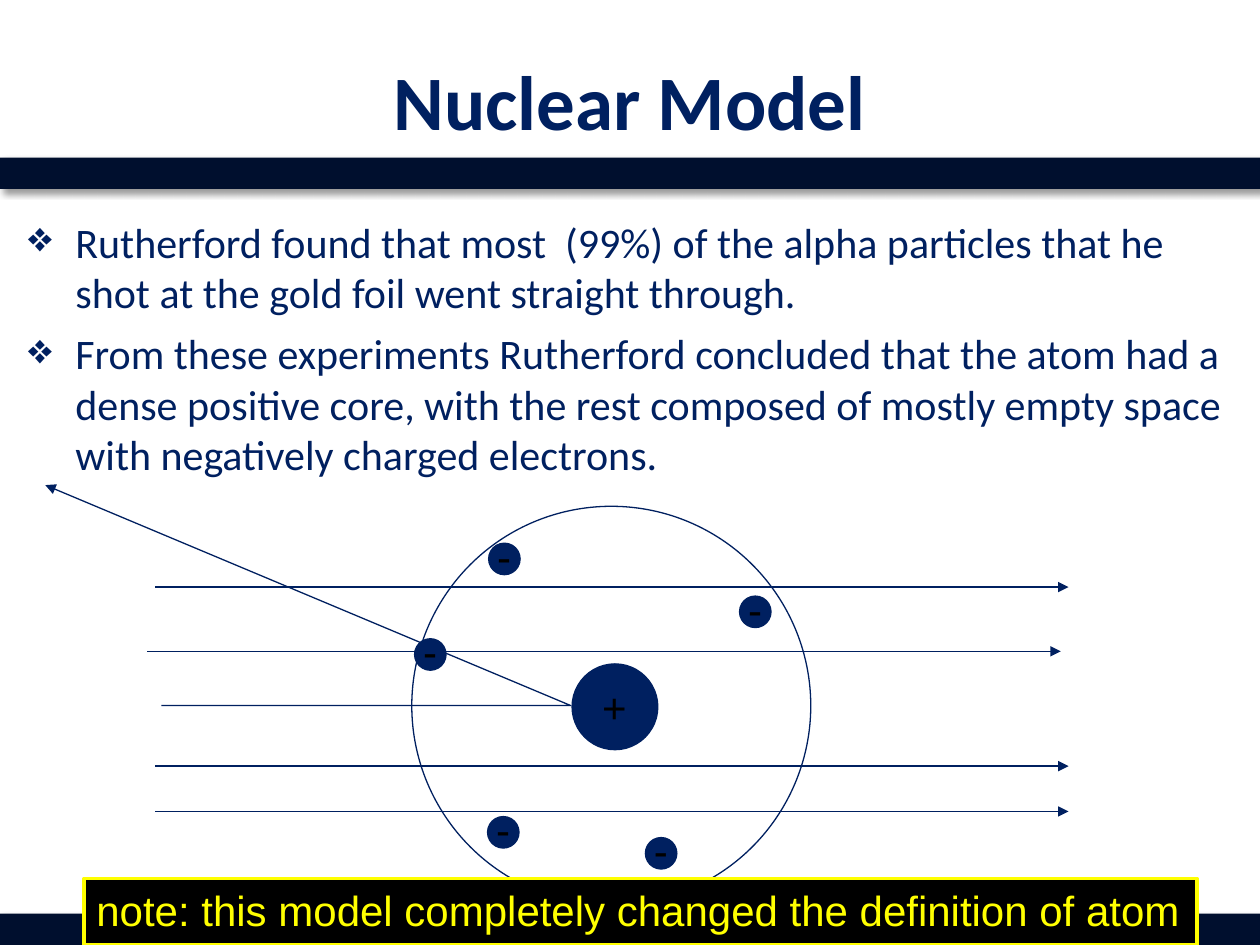
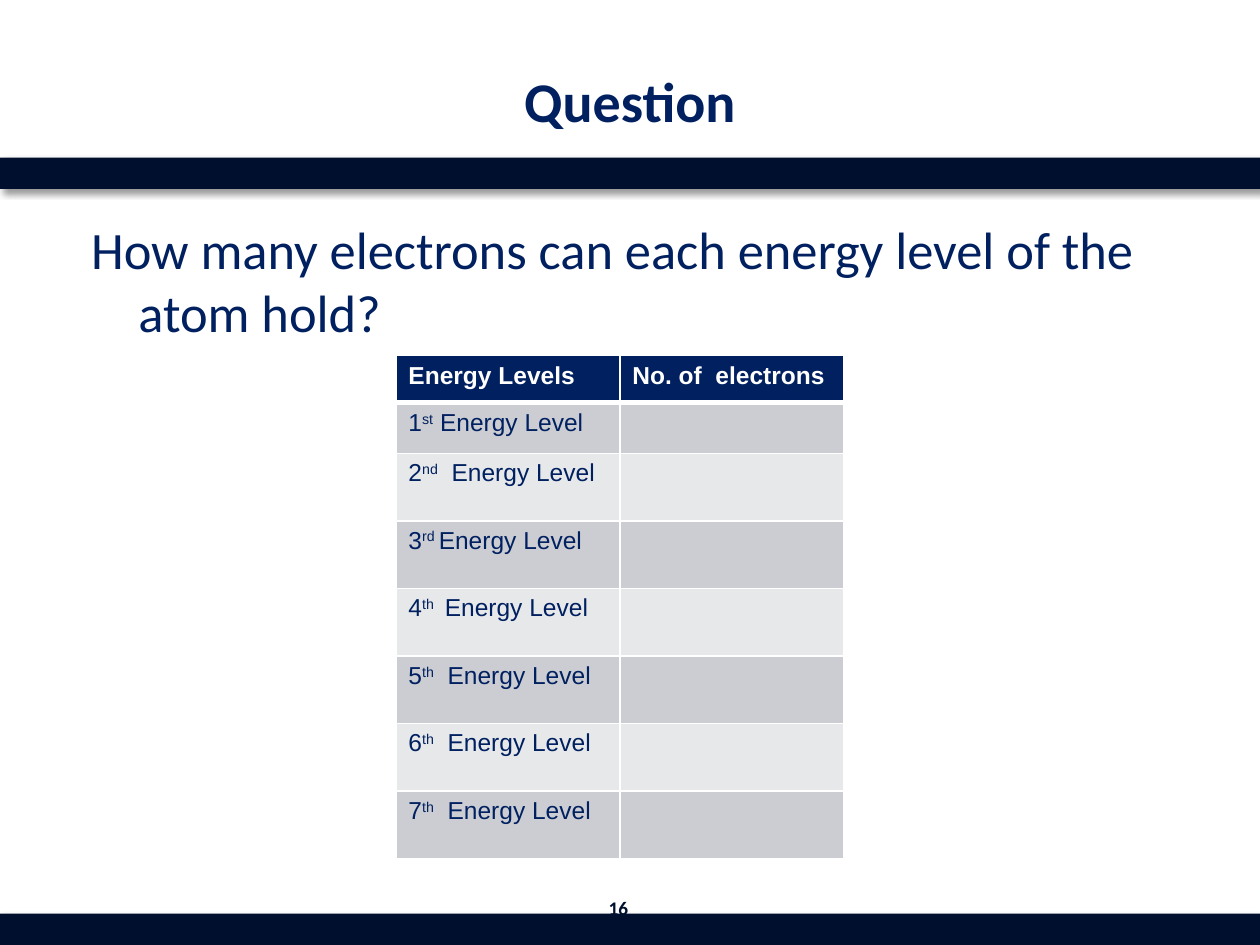
from dataclasses import dataclass

from lxml import etree
from pptx import Presentation
from pptx.dml.color import RGBColor
from pptx.enum.shapes import MSO_CONNECTOR, MSO_SHAPE
from pptx.enum.text import MSO_ANCHOR, PP_ALIGN
from pptx.oxml.ns import qn
from pptx.util import Pt

RECTANGLE, OVAL = MSO_SHAPE.RECTANGLE, MSO_SHAPE.OVAL
STRAIGHT = MSO_CONNECTOR.STRAIGHT
TOP, MIDDLE = MSO_ANCHOR.TOP, MSO_ANCHOR.MIDDLE
LEFT, CENTER = PP_ALIGN.LEFT, PP_ALIGN.CENTER


@dataclass(frozen=True)
class Theme:
    navy: str = "002060"
    band: str = "000F2E"
    white: str = "FFFFFF"
    black: str = "000000"
    yellow: str = "FFFF00"
    stripes: tuple = ("CCCDD2", "E7E8EA")
    heading_font: str = "Calibri"
    plain_font: str = "Arial"
    model_title: int = 44
    question_title: int = 32
    question: int = 30
    text: int = 24
    table: int = 14
    page_number: int = 11
    hairline: float = 0.75


THEME = Theme()
PAGE_WIDTH, PAGE_HEIGHT = 720, 540
BAND_HEIGHT = 18
BAND_TOPS = (PAGE_HEIGHT - BAND_HEIGHT, 90)
TITLE_AREA = (36, 12, 648, 90)

FINDINGS = [
    "Rutherford found that most  (99%) of the alpha particles that he shot at "
    "the gold foil went straight through.",
    "From these experiments Rutherford concluded that the atom had a dense "
    "positive core, with the rest composed of mostly empty space with "
    "negatively charged electrons.",
]
NOTE = "note: this model completely changed the definition of atom"
ATOM = (235.3, 289.3, 228)
NUCLEUS = (326.9, 379.4, 49)
ELECTRON_SIZE = 18
ELECTRONS = [(368.8, 478.6), (279.2, 310.4), (422.6, 340.6), (278.6, 466.6), (236.9, 365)]
PASSING_RAYS = [(88.6, 437.8), (88.6, 335.5), (88.6, 463.7), (84.2, 372.2)]
RAY_LENGTH = 522
DEFLECTED_RAY = [(92.2, 403.2), (326.2, 403.2), (25.9, 277.2)]

QUESTION = "How many electrons can each energy level of the atom hold?"
TABLE_HEADINGS = ["Energy Levels", "No. of  electrons"]
ENERGY_LEVELS = [
    ("1", "st", " Energy Level"),
    ("2", "nd", "  Energy Level"),
    ("3", "rd ", "Energy Level"),
    ("4", "th ", " Energy Level"),
    ("5", "th", "  Energy Level"),
    ("6", "th", "  Energy Level"),
    ("7", "th", "  Energy Level"),
]
TABLE_LEFT, TABLE_TOP, COLUMN_WIDTH = 226.2, 203.2, 128
SHORT_ROW, TALL_ROW = 27, 38.6


def apply(target, values):
    for name, value in values.items():
        setattr(target, name, value)


def color(value):
    return RGBColor.from_string(value)


def add_xml(parent, tag, **attributes):
    return etree.SubElement(parent, qn(tag), attributes)


def add_span(para, text, size, font, ink, bold=False, raised=False):
    span = para.add_run()
    span.text = text
    apply(span.font, {"size": Pt(size), "name": font, "bold": bold})
    span.font.color.rgb = color(ink)
    if raised:
        span.font._element.set("baseline", "30000")


def write(frame, lines, size, font, ink, bold=False, align=LEFT, anchor=TOP,
          wrap=True, hanging=False, bullet=None):
    apply(frame, {
        "word_wrap": wrap, "vertical_anchor": anchor,
        "margin_left": Pt(7.2), "margin_right": Pt(7.2),
        "margin_top": Pt(3.6), "margin_bottom": Pt(3.6),
    })
    for index, line in enumerate(lines):
        para = frame.add_paragraph() if index else frame.paragraphs[0]
        para.alignment = align
        add_span(para, line, size, font, ink, bold)
        if hanging:
            para.space_before = Pt(6)
            properties = para._p.get_or_add_pPr()
            properties.set("marL", str(Pt(36)))
            properties.set("indent", str(Pt(-27)))
            if bullet:
                add_xml(add_xml(properties, "a:buClr"), "a:srgbClr", val=ink)
                add_xml(properties, "a:buChar", char=bullet)
            else:
                add_xml(properties, "a:buNone")


def add_text(page, area, lines, size, font, ink, **layout):
    box = page.shapes.add_textbox(*map(Pt, area))
    write(box.text_frame, lines, size, font, ink, **layout)


def set_line(shape, ink, width, arrow=False):
    shape.line.color.rgb = color(ink)
    shape.line.width = Pt(width)
    if arrow:
        add_xml(shape._element.spPr.find(qn("a:ln")), "a:tailEnd", type="triangle")


def add_figure(page, kind, area, fill, line=None, width=THEME.hairline):
    shape = page.shapes.add_shape(kind, *map(Pt, area))
    shape.shadow.inherit = False
    shape.fill.solid()
    shape.fill.fore_color.rgb = color(fill)
    if line:
        set_line(shape, line, width)
    else:
        shape.line.fill.background()
    return shape


def add_page(deck, title, title_size):
    page = deck.slides.add_slide(deck.slide_layouts[6])
    for top in BAND_TOPS:
        band = add_figure(page, RECTANGLE, (0, top, PAGE_WIDTH, BAND_HEIGHT), THEME.band)
        effects = band._element.spPr.find(qn("a:effectLst"))
        shadow = add_xml(effects, "a:outerShdw", blurRad=str(Pt(4)), dist=str(Pt(3)),
                         dir="2700000", algn="tl", rotWithShape="0")
        add_xml(add_xml(shadow, "a:srgbClr", val=THEME.black), "a:alpha", val="40000")
    add_text(page, TITLE_AREA, [title], title_size, THEME.heading_font, THEME.navy,
             bold=True, align=CENTER, anchor=MIDDLE)
    return page


def add_charge(page, left, top, size, sign, label_width, rise):
    add_figure(page, OVAL, (left, top, size, size), THEME.navy, THEME.navy)
    label = (left + (size - label_width) / 2, top + rise, label_width, 36)
    add_text(page, label, [sign], THEME.text, THEME.plain_font, THEME.black, wrap=False)


def add_rays(page):
    for left, top in PASSING_RAYS:
        ray = page.shapes.add_connector(STRAIGHT, Pt(left), Pt(top),
                                        Pt(left + RAY_LENGTH), Pt(top))
        set_line(ray, THEME.navy, THEME.hairline, arrow=True)
        add_xml(ray._element.spPr, "a:effectLst")
    start, *bends = [(Pt(x), Pt(y)) for x, y in DEFLECTED_RAY]
    builder = page.shapes.build_freeform(*start)
    builder.add_line_segments(bends, close=False)
    deflected = builder.convert_to_shape()
    deflected.shadow.inherit = False
    deflected.fill.background()
    set_line(deflected, THEME.navy, THEME.hairline, arrow=True)


def build_model(deck):
    page = add_page(deck, "Nuclear Model", THEME.model_title)
    add_text(page, (0, 120.2, 707, 389), FINDINGS, THEME.text, THEME.heading_font,
             THEME.navy, hanging=True, bullet="❖")
    left, top, size = ATOM
    add_figure(page, OVAL, (left, top, size, size), THEME.white, THEME.navy)
    add_charge(page, *NUCLEUS, "+", 28.8, 6.5)
    for left, top in ELECTRONS:
        add_charge(page, left, top, ELECTRON_SIZE, "-", 22.4, -10.8)
    add_rays(page)
    note = add_figure(page, RECTANGLE, (48, 502, 636, 38), THEME.black, THEME.yellow, 2)
    write(note.text_frame, [NOTE], THEME.text, THEME.plain_font, THEME.yellow, wrap=False)


def format_cell(cell, fill, borders):
    properties = cell._tc.get_or_add_tcPr()
    for side, width in borders.items():
        edge = add_xml(properties, f"a:ln{side}", w=str(Pt(width)))
        add_xml(add_xml(edge, "a:solidFill"), "a:srgbClr", val=THEME.white)
    cell.fill.solid()
    cell.fill.fore_color.rgb = color(fill)


def add_levels_table(page):
    heights = [SHORT_ROW] * 2 + [TALL_ROW] * (len(ENERGY_LEVELS) - 1)
    area = (TABLE_LEFT, TABLE_TOP, 2 * COLUMN_WIDTH, sum(heights))
    table = page.shapes.add_table(len(heights), 2, *map(Pt, area)).table
    for column in table.columns:
        column.width = Pt(COLUMN_WIDTH)
    rows = [[(heading,) for heading in TABLE_HEADINGS]]
    rows += [[level, ("",)] for level in ENERGY_LEVELS]
    for index, (row, height) in enumerate(zip(rows, heights)):
        table.rows[index].height = Pt(height)
        header = index == 0
        fill = THEME.navy if header else THEME.stripes[(index - 1) % 2]
        ink = THEME.white if header else THEME.navy
        borders = {"L": 1, "R": 1, "T": 3 if index == 1 else 1, "B": 3 if header else 1}
        for column, parts in enumerate(row):
            cell = table.cell(index, column)
            format_cell(cell, fill, borders)
            for position, part in enumerate(parts):
                add_span(cell.text_frame.paragraphs[0], part, THEME.table,
                         THEME.plain_font, ink, bold=header, raised=position == 1)


def build_question(deck):
    page = add_page(deck, "Question", THEME.question_title)
    add_text(page, (36, 120.2, 648, 389), [QUESTION], THEME.question,
             THEME.heading_font, THEME.navy, hanging=True)
    add_text(page, (338.4, 504, 30, 29), ["16"], THEME.page_number, THEME.heading_font,
             THEME.band, bold=True, align=CENTER, anchor=MIDDLE)
    add_levels_table(page)


def main():
    deck = Presentation()
    apply(deck, {"slide_width": Pt(PAGE_WIDTH), "slide_height": Pt(PAGE_HEIGHT)})
    build_model(deck)
    build_question(deck)
    deck.save("out.pptx")


if __name__ == "__main__":
    main()
